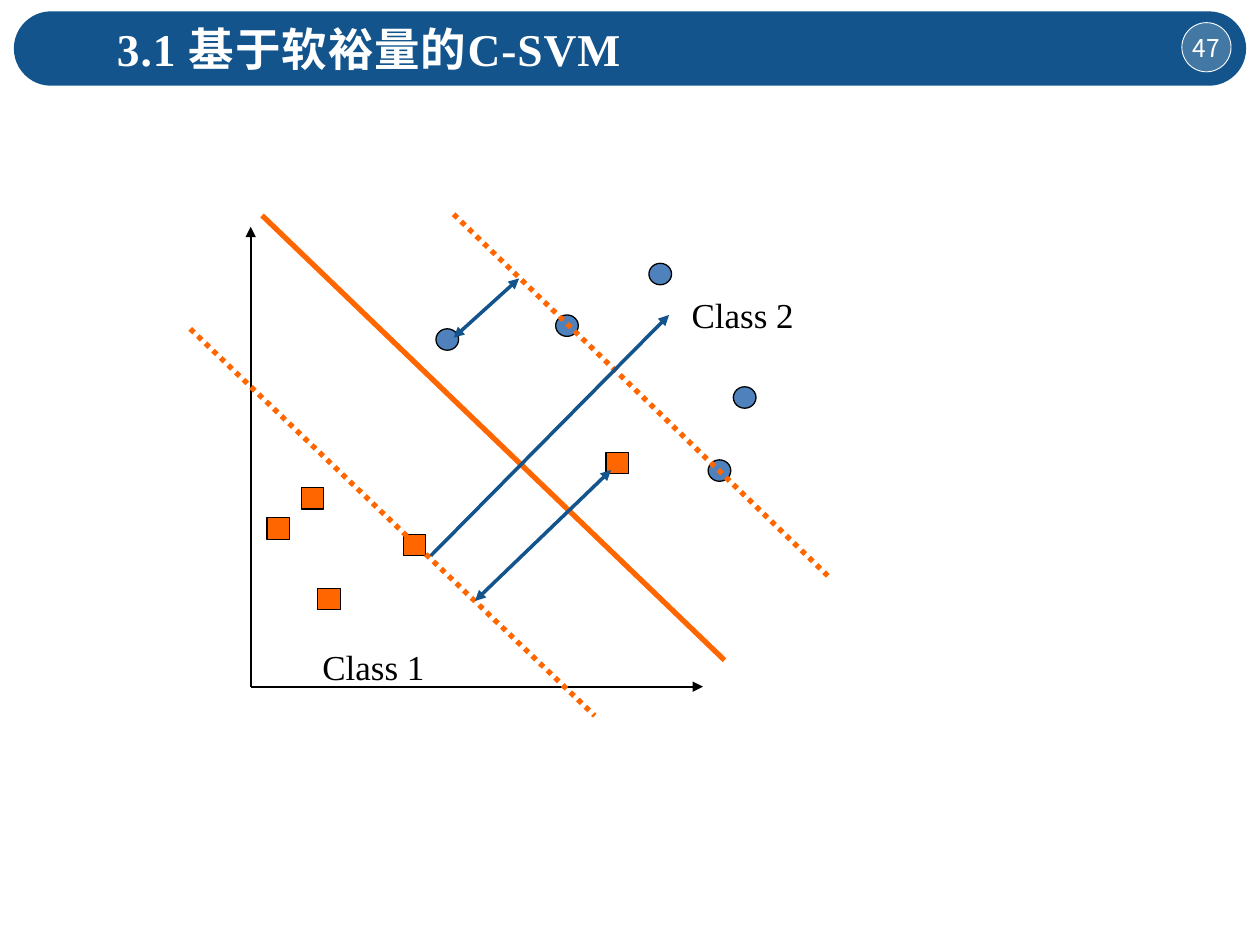
import pptx
import pptx.util
import pptx.dml.color
import pptx.enum.dml
import pptx.enum.shapes
import pptx.enum.text
import pptx.oxml
import pptx.oxml.ns

Inches, Pt = pptx.util.Inches, pptx.util.Pt
KIND = pptx.enum.shapes.MSO_SHAPE
ALIGN = pptx.enum.text.PP_ALIGN
ANCHOR = pptx.enum.text.MSO_ANCHOR
qn = pptx.oxml.ns.qn

BLUE, ORANGE, DOT, BLACK, WHITE = "13548C", "FF6600", "4F81BD", "000000", "FFFFFF"
SERIF, SANS = "Times New Roman", "Noto Sans CJK SC"
MARK = (0.18, 0.17)

TITLE = "3.1 基于软裕量的C-SVM"
PAGE = "47"
CLASSES = [("Class 1", 2.46, 5.07), ("Class 2", 5.39, 2.28)]
MARKS = [
    (KIND.OVAL, DOT,
     [(4.41, 2.5), (5.15, 2.09), (5.62, 3.65), (3.46, 2.61), (5.82, 3.07)]),
    (KIND.RECTANGLE, ORANGE,
     [(2.39, 3.87), (4.81, 3.59), (3.2, 4.24), (2.52, 4.67), (2.12, 4.11)]),
]
# start, end, colour, width, dotted, arrow ends
AXES = [
    ((1.99, 5.45), (1.99, 1.8), BLACK, 1, False, ["tail"]),
    ((1.99, 5.45), (5.58, 5.45), BLACK, 1, False, ["tail"]),
]
BOUNDS = [
    ((3.6, 1.7), (6.57, 4.57), ORANGE, 3, True, []),
    ((1.51, 2.61), (4.72, 5.68), ORANGE, 3, True, []),
    ((2.08, 1.71), (5.75, 5.24), ORANGE, 3, False, []),
]
GAPS = [
    ((3.42, 4.41), (5.31, 2.5), BLUE, 2, False, ["tail"]),
    ((4.85, 3.73), (3.77, 4.77), BLUE, 2, False, ["head", "tail"]),
    ((4.12, 2.21), (3.6, 2.68), BLUE, 2, False, ["head", "tail"]),
]


def rgb(code):
    return pptx.dml.color.RGBColor.from_string(code)


def add_xml(parent, tag, **attrs):
    child = parent.makeelement(qn(tag), attrs)
    parent.append(child)
    return child


def add_shape(slide, kind, box, fill, line=None, width=0.75):
    shape = slide.shapes.add_shape(kind, *map(Inches, box))
    shape.shadow.inherit = False
    shape.fill.solid()
    shape.fill.fore_color.rgb = rgb(fill)
    if line:
        shape.line.color.rgb = rgb(line)
        shape.line.width = Pt(width)
    else:
        shape.line.fill.background()
    return shape


def add_line(slide, start, end, color, width, dotted, heads):
    line = slide.shapes.add_connector(
        pptx.enum.shapes.MSO_CONNECTOR.STRAIGHT, *map(Inches, start + end))
    line.line.color.rgb = rgb(color)
    line.line.width = Pt(width)
    if dotted:
        line.line.dash_style = pptx.enum.dml.MSO_LINE.ROUND_DOT
    for name in heads:
        add_xml(line.line._get_or_add_ln(), f"a:{name}End", type="triangle")
    add_xml(line._element.spPr, "a:effectLst")


def set_text(shape, text, size, font, color, wrap=False):
    frame = shape.text_frame
    frame.word_wrap = wrap
    para = frame.paragraphs[0]
    para.text = text
    para.font.size = Pt(size)
    para.font.name = font
    para.font.color.rgb = rgb(color)
    return para


def add_text(slide, box, *style, wrap=False):
    shape = slide.shapes.add_textbox(*map(Inches, box))
    return set_text(shape, *style, wrap=wrap)


def add_badge(slide):
    """Draw the see-through circle with the page number."""
    badge = add_shape(slide, KIND.OVAL, (9.38, 0.18, 0.39, 0.39), WHITE, WHITE, 0.5)
    tint = badge._element.spPr.find(qn("a:solidFill"))[0]
    add_xml(tint, "a:alpha", val="21000")
    set_text(badge, PAGE, 14, SANS, WHITE).alignment = ALIGN.CENTER
    frame = badge.text_frame
    frame.vertical_anchor = ANCHOR.MIDDLE
    frame.margin_left = frame.margin_right = 0
    frame.margin_top = frame.margin_bottom = 0


def main():
    deck = pptx.Presentation()
    deck.slide_width, deck.slide_height = Inches(10), Inches(7.5)
    slide = deck.slides.add_slide(deck.slide_layouts[6])

    bar = add_shape(slide, KIND.ROUNDED_RECTANGLE, (0.11, 0.09, 9.78, 0.59), BLUE)
    bar.adjustments[0] = 0.5
    add_badge(slide)

    for axis in AXES:
        add_line(slide, *axis)
    for kind, fill, spots in MARKS:
        for spot in spots:
            add_shape(slide, kind, spot + MARK, fill, BLACK)
    for name, left, top in CLASSES:
        add_text(slide, (left, top, 1.02, 0.44), name, 20, SERIF, BLACK)
    for line in BOUNDS + GAPS:
        add_line(slide, *line)

    title = add_text(slide, (0.83, 0.12, 7.42, 0.54), TITLE, 26, SERIF, WHITE, wrap=True)
    title.font.bold = True
    run = title.runs[0]._r.get_or_add_rPr()
    run.set("spc", "50")
    add_xml(run, "a:ea", typeface=SANS)

    deck.save("out.pptx")


if __name__ == "__main__":
    main()
